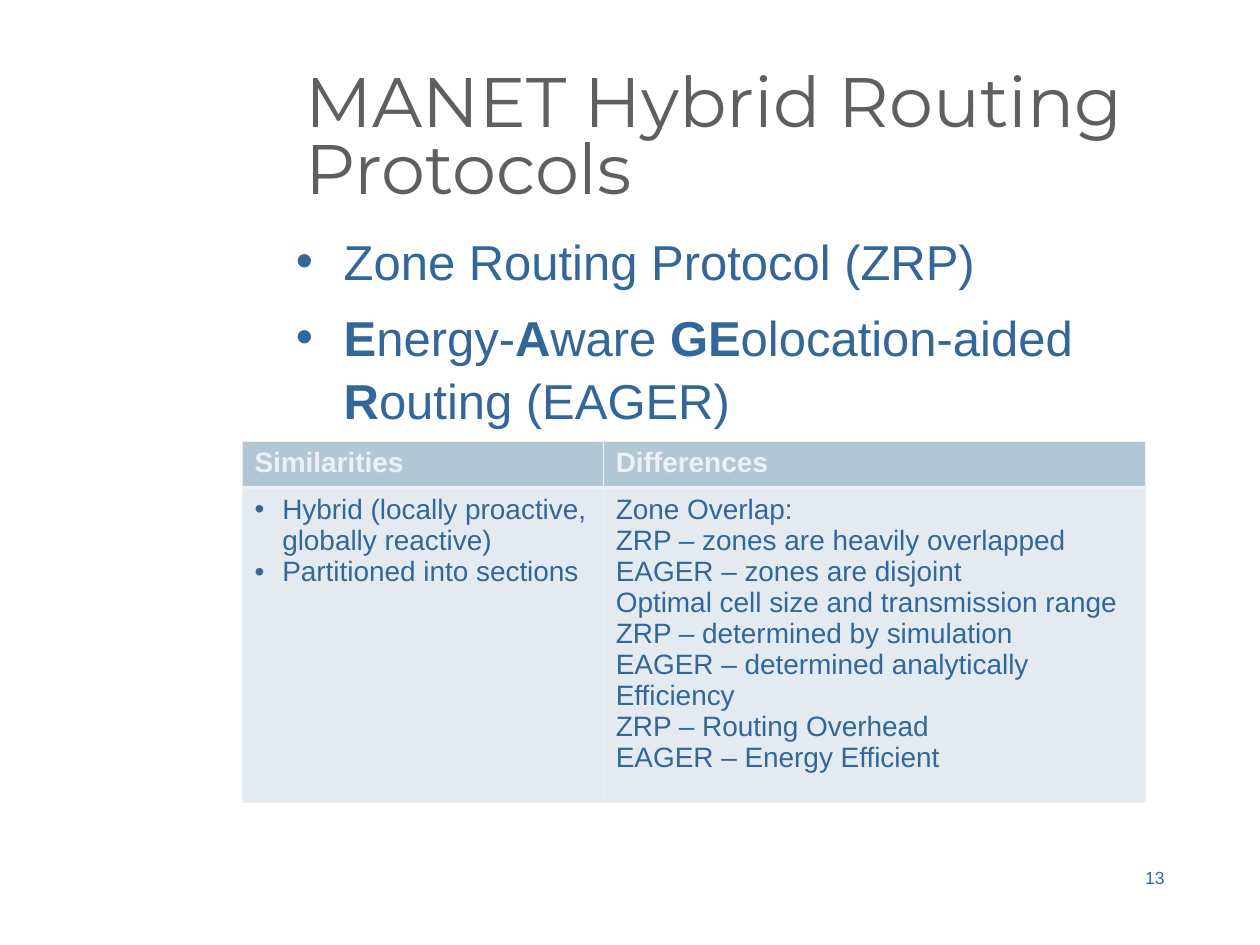
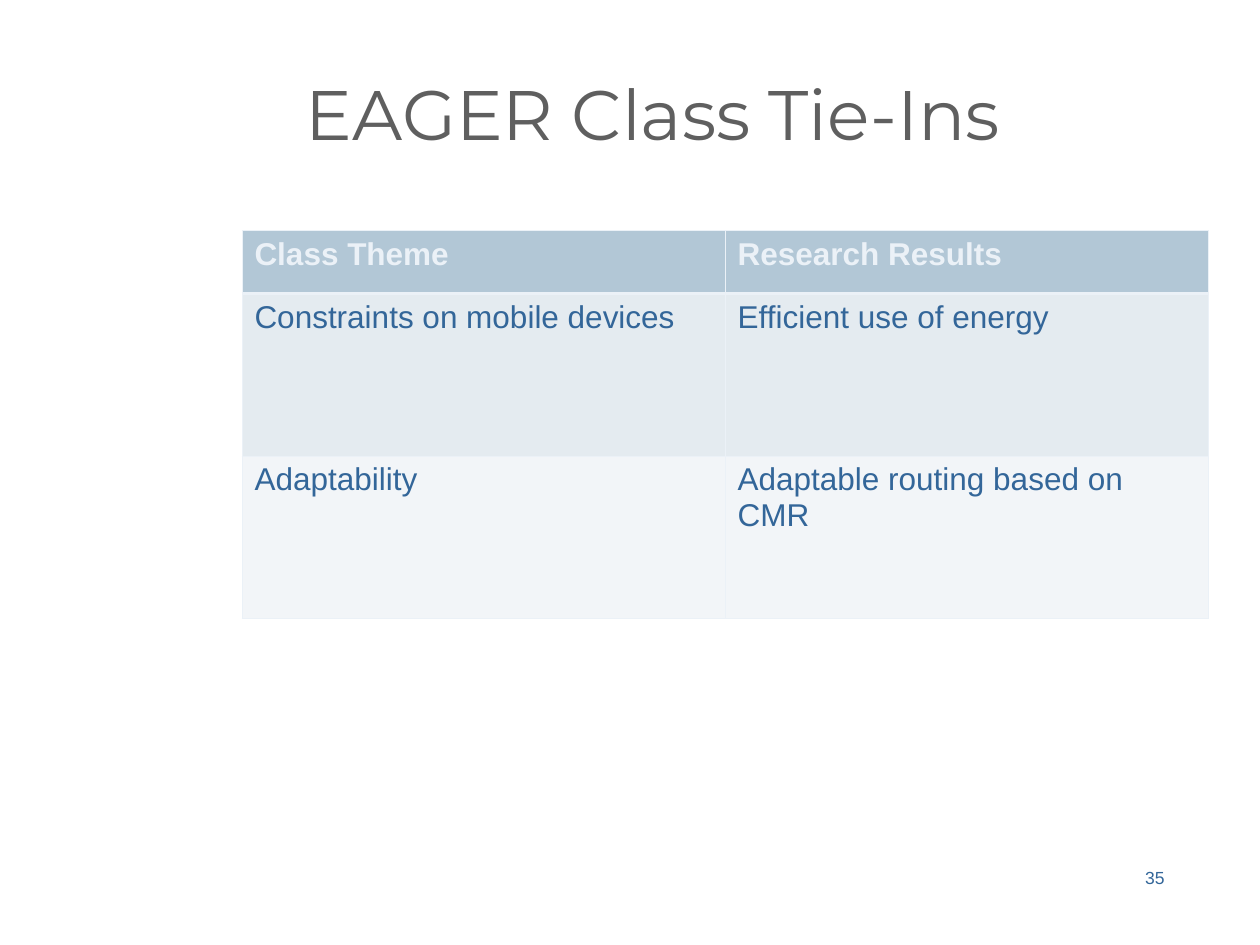
from lxml import etree
from pptx import Presentation
from pptx.dml.color import RGBColor
from pptx.enum.text import MSO_ANCHOR, PP_ALIGN
from pptx.oxml.ns import qn
from pptx.util import Inches, Pt

MID, TOP = MSO_ANCHOR.MIDDLE, MSO_ANCHOR.TOP
LEFT, RIGHT = PP_ALIGN.LEFT, PP_ALIGN.RIGHT

GREY = RGBColor(0x5F, 0x5F, 0x5F)
BLUE = RGBColor(0x33, 0x66, 0x99)
PALE = RGBColor(0xEB, 0xF1, 0xF7)
HEAD = RGBColor(0xB2, 0xC7, 0xD6)
BANDS = (RGBColor(0xE4, 0xEB, 0xF0), RGBColor(0xF2, 0xF5, 0xF8))

# Content: *stars* mark bold letters, a leading bullet sign makes a list item
SLIDES = [
    {
        "title": "MANET Hybrid Routing Protocols", "tall": 1.58, "page": "13",
        "list": ["• Zone Routing Protocol (ZRP)",
                 "• *E*nergy-*A*ware *GE*olocation-aided *R*outing (EAGER)"],
        "table": {
            "top": 3.5, "width": 7.17, "cols": (0.4, 0.6),
            "rows": (0.37, 2.5), "size": 16,
            "cells": [
                (["Similarities"], ["Differences"]),
                (["• Hybrid (locally proactive, globally reactive)",
                  "• Partitioned into sections"],
                 ["Zone Overlap:",
                  "ZRP – zones are heavily overlapped",
                  "EAGER – zones are disjoint",
                  "Optimal cell size and transmission range",
                  "ZRP – determined by simulation",
                  "EAGER – determined analytically",
                  "Efficiency",
                  "ZRP – Routing Overhead",
                  "EAGER – Energy Efficient"]),
            ],
        },
    },
    {
        "title": "EAGER Class Tie-Ins", "tall": 1.25, "page": "35",
        "list": [],
        "table": {
            "top": 1.83, "width": 7.67, "cols": (0.5, 0.5),
            "rows": (0.5, 1.29, 1.29), "size": 18,
            "cells": [
                (["Class Theme"], ["Research Results"]),
                (["Constraints on mobile devices"], ["Efficient use of energy"]),
                (["Adaptability"], ["Adaptable routing based on CMR"]),
            ],
        },
    },
]

# Shared formats
TITLE = {"name": "Montserrat", "size": Pt(40), "color": GREY}
LIST = {"name": "Arial", "size": Pt(28), "color": BLUE}
PAGE = {"name": "Arial", "size": Pt(10), "color": BLUE}
EDGE = 1.92  # left side of the tables
THIN, THICK = 0.45, 1.47


def style(font, form):
    for key, val in form.items():
        if key == "color":
            font.color.rgb = val
        else:
            setattr(font, key, val)


def bullet(para, indent):
    props = para._p.get_or_add_pPr()
    props.set("marL", str(Inches(indent)))
    props.set("indent", str(-Inches(indent)))
    etree.SubElement(props, qn("a:buFont"), typeface="Arial")
    etree.SubElement(props, qn("a:buChar"), char="•")


def write(frame, lines, form, indent=0, align=LEFT, gap=0, pitch=None):
    frame.word_wrap = True
    for i, line in enumerate(lines):
        para = frame.add_paragraph() if i else frame.paragraphs[0]
        para.alignment = align
        para.line_spacing = pitch
        para.space_before = Pt(gap if i else 0)
        if line.startswith("• "):
            bullet(para, indent)
            line = line[2:]
        for j, part in enumerate(line.split("*")):
            if part:
                run = para.add_run()
                run.text = part
                style(run.font, {"bold": j % 2 == 1} | form)


def box(slide, place, lines, form, anchor=TOP, **opts):
    frame = slide.shapes.add_textbox(*map(Inches, place)).text_frame
    frame.vertical_anchor = anchor
    write(frame, lines, form, **opts)


def border(cell, row):
    # The rule between the header and the body is the thick one
    props = cell._tc.get_or_add_tcPr()
    thick = {0: "B", 1: "T"}.get(row)
    for side in "LRTB":
        width = Pt(THICK if side == thick else THIN)
        line = etree.SubElement(props, qn("a:ln" + side), w=str(width))
        fill = etree.SubElement(line, qn("a:solidFill"))
        etree.SubElement(fill, qn("a:srgbClr"), val=str(PALE))


def grid(slide, data):
    rows, cols = data["rows"], data["cols"]
    place = EDGE, data["top"], data["width"], sum(rows)
    table = slide.shapes.add_table(len(rows), len(cols), *map(Inches, place)).table
    for col, share in zip(table.columns, cols):
        col.width = Inches(data["width"] * share)
    for r, (row, texts) in enumerate(zip(table.rows, data["cells"])):
        row.height = Inches(rows[r])
        form = {"name": "Arial", "size": Pt(data["size"]),
                "color": BLUE if r else PALE, "bold": r == 0}
        for cell, lines in zip(row.cells, texts):
            border(cell, r)
            cell.fill.solid()
            cell.fill.fore_color.rgb = BANDS[(r - 1) % 2] if r else HEAD
            write(cell.text_frame, lines, form, indent=0.22)


def main():
    deck = Presentation()
    deck.slide_width, deck.slide_height = Inches(10), Inches(7.5)
    for data in SLIDES:
        slide = deck.slides.add_slide(deck.slide_layouts[6])
        box(slide, (2.33, 0.33, 7, data["tall"]), [data["title"]], TITLE,
            anchor=MID, pitch=0.8)
        if data["list"]:
            box(slide, (2.25, 1.75, 7, 1.67), data["list"], LIST,
                indent=0.38, gap=7, pitch=1.08)
        box(slide, (7.92, 6.83, 1.42, 0.5), [data["page"]], PAGE, align=RIGHT)
        grid(slide, data["table"])
    deck.save("out.pptx")


if __name__ == "__main__":
    main()
